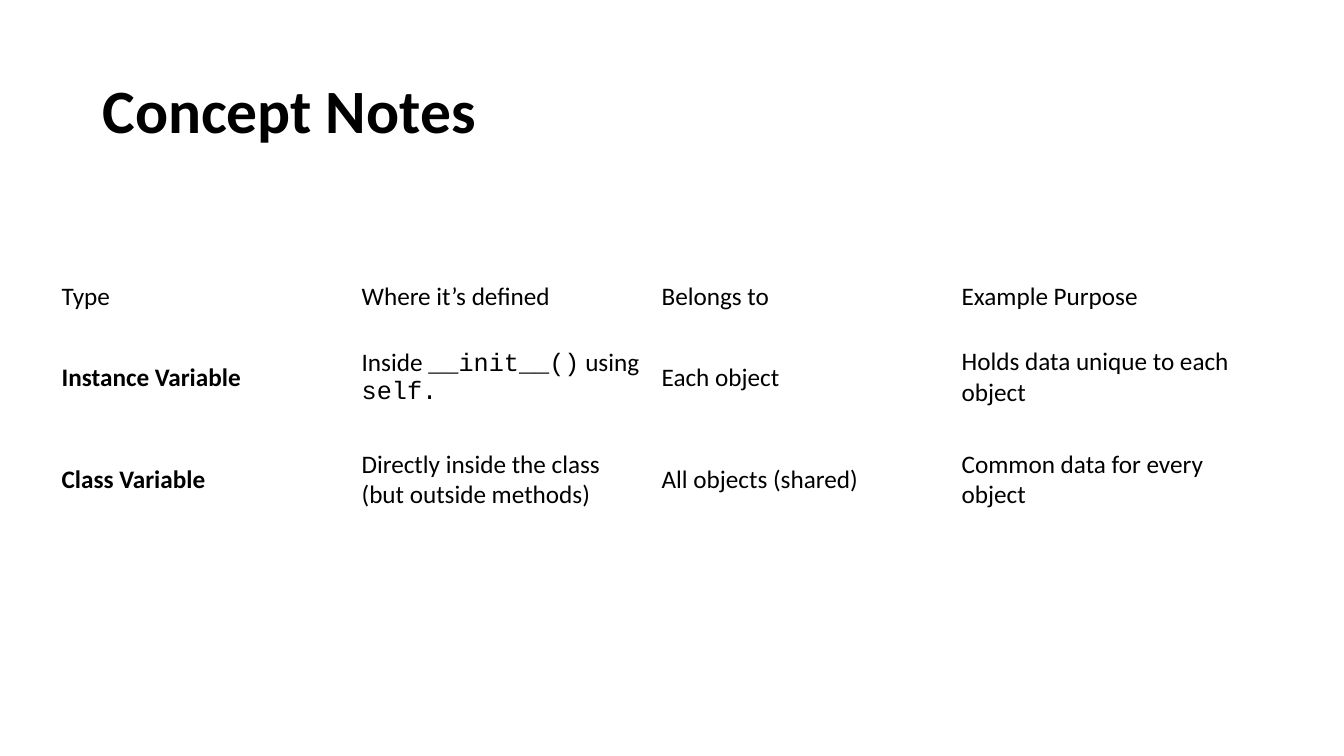
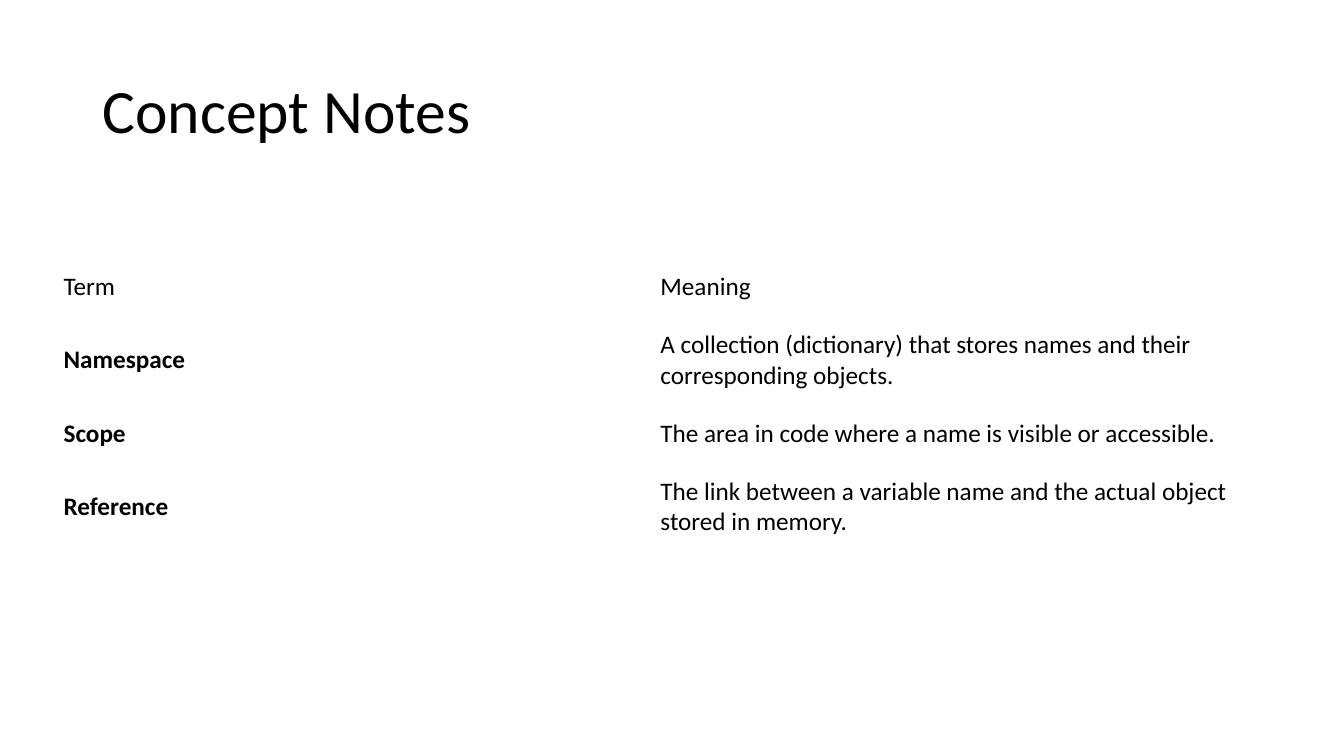
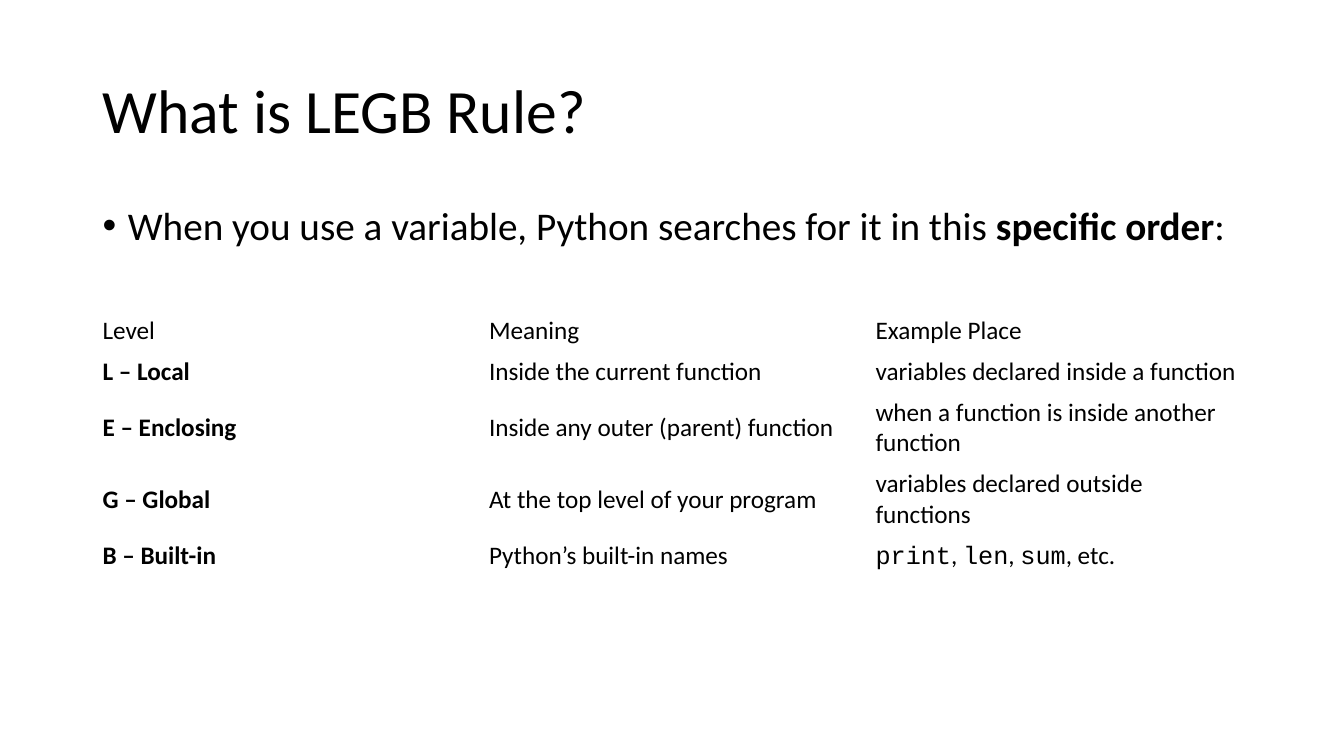
from pptx import Presentation
from pptx.dml.color import RGBColor
from pptx.enum.text import MSO_ANCHOR, MSO_AUTO_SIZE, PP_ALIGN
from pptx.util import Cm, Pt

BLACK = RGBColor(0, 0, 0)
WHITE = RGBColor(255, 255, 255)

# Text formats
PLAIN = {"name": "Calibri", "bold": False}
BOLD = {"name": "Calibri", "bold": True}
CODE = {"name": "Courier New", "bold": False}
TITLE_SIZE, BODY_SIZE, TABLE_SIZE = 44, 28, 18

# Places in cm: left, top, width, height
TITLE_BOX = (2.33, 1.01, 29.21, 3.68)
BODY_BOX = (2.33, 5.07, 29.21, 12.09)
BULLET_INDENT = 0.64

# Content: text between backticks takes the marked format (code in tables, bold in the body)
SLIDES = [
    {
        "title": "Concept Notes",
        "title_format": BOLD,
        "corner": (1.3, 6.74),
        "columns": [7.56] * 4,
        "row_heights": [1.48, 2.58, 2.58],
        "rows": [
            ("Type", "Where it’s defined", "Belongs to", "Example Purpose"),
            ("Instance Variable", "Inside `__init__()` using `self.`",
             "Each object", "Holds data unique to each object"),
            ("Class Variable", "Directly inside the class (but outside methods)",
             "All objects (shared)", "Common data for every object"),
        ],
    },
    {
        "title": "Concept Notes",
        "title_format": PLAIN,
        "corner": (1.35, 6.56),
        "columns": [15.04, 15.16],
        "row_heights": [1.35, 2.34, 1.35, 2.34],
        "rows": [
            ("Term", "Meaning"),
            ("Namespace",
             "A collection (dictionary) that stores names and their corresponding objects."),
            ("Scope", "The area in code where a name is visible or accessible."),
            ("Reference",
             "The link between a variable name and the actual object stored in memory."),
        ],
    },
    {
        "title": "What is LEGB Rule?",
        "title_format": PLAIN,
        "body": "When you use a variable, Python searches for it in this `specific order`:",
        "corner": (2.33, 7.82),
        "columns": [9.74] * 3,
        "row_heights": [1.03, 1.03, 1.8, 1.8, 1.03],
        "rows": [
            ("Level", "Meaning", "Example Place"),
            ("L – Local", "Inside the current function", "variables declared inside a function"),
            ("E – Enclosing", "Inside any outer (parent) function",
             "when a function is inside another function"),
            ("G – Global", "At the top level of your program",
             "variables declared outside functions"),
            ("B – Built-in", "Python’s built-in names", "`print`, `len`, `sum`, etc."),
        ],
    },
]


def write(paragraph, text, size, base=PLAIN, marked=CODE):
    """Add runs, giving every second piece between backticks the marked format."""
    for index, piece in enumerate(text.split("`")):
        if not piece:
            continue
        run = paragraph.add_run()
        run.text = piece
        run.font.size = Pt(size)
        run.font.color.rgb = BLACK
        for name, value in (marked if index % 2 else base).items():
            setattr(run.font, name, value)


def prepare_placeholder(shape, box, anchor):
    """Place a placeholder and return its left-aligned first paragraph."""
    for name, value in zip(("left", "top", "width", "height"), box):
        setattr(shape, name, Cm(value))
    frame = shape.text_frame
    frame.auto_size = MSO_AUTO_SIZE.NONE
    frame.vertical_anchor = anchor
    paragraph = frame.paragraphs[0]
    paragraph.alignment = PP_ALIGN.LEFT
    paragraph.line_spacing = 0.9
    return paragraph


def add_body(shape, text):
    paragraph = prepare_placeholder(shape, BODY_BOX, MSO_ANCHOR.TOP)
    paragraph.space_before = Pt(10)
    properties = paragraph._p.get_or_add_pPr()
    properties.set("marL", str(Cm(BULLET_INDENT)))
    properties.set("indent", str(-Cm(BULLET_INDENT)))
    write(paragraph, text, BODY_SIZE, marked=BOLD)


def add_text_table(slide, corner, columns, row_heights, rows):
    left, top = corner
    table = slide.shapes.add_table(
        len(rows), len(columns), Cm(left), Cm(top),
        Cm(sum(columns)), Cm(sum(row_heights))).table
    table.first_row = table.horz_banding = False
    for column, width in zip(table.columns, columns):
        column.width = Cm(width)
    for row, height in zip(table.rows, row_heights):
        row.height = Cm(height)
    for row_index, texts in enumerate(rows):
        for column_index, text in enumerate(texts):
            cell = table.cell(row_index, column_index)
            cell.fill.background()
            cell.vertical_anchor = MSO_ANCHOR.MIDDLE
            # Row labels below the header are bold
            base = BOLD if row_index and not column_index else PLAIN
            write(cell.text_frame.paragraphs[0], text, TABLE_SIZE, base)


def main():
    presentation = Presentation()
    presentation.slide_width, presentation.slide_height = Cm(33.87), Cm(19.05)
    background = presentation.slide_master.background.fill
    background.solid()
    background.fore_color.rgb = WHITE
    layouts = presentation.slide_layouts
    title_and_content, title_only = layouts[1], layouts[5]

    for content in SLIDES:
        layout = title_and_content if "body" in content else title_only
        slide = presentation.slides.add_slide(layout)
        title = prepare_placeholder(slide.shapes.title, TITLE_BOX, MSO_ANCHOR.MIDDLE)
        write(title, content["title"], TITLE_SIZE, content["title_format"])
        if "body" in content:
            add_body(slide.placeholders[1], content["body"])
        add_text_table(slide, content["corner"], content["columns"],
                       content["row_heights"], content["rows"])

    presentation.save("out.pptx")


if __name__ == "__main__":
    main()
